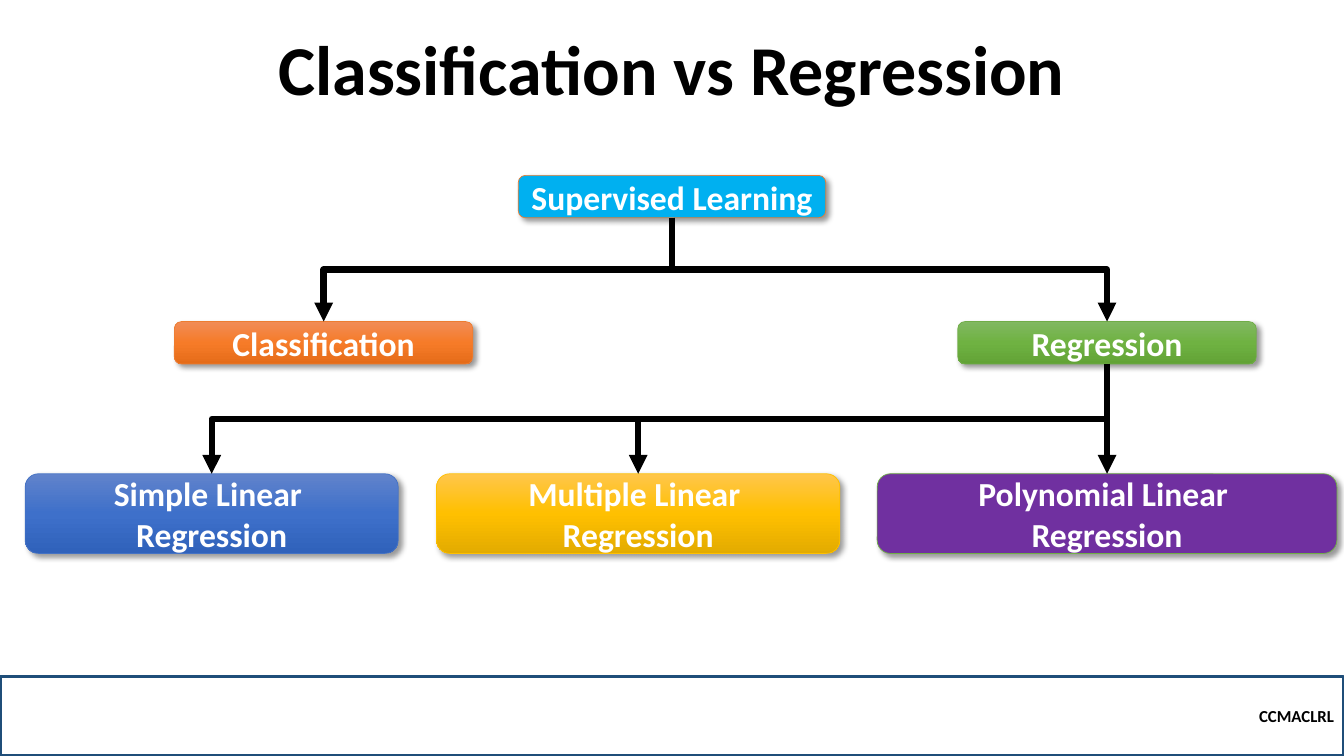
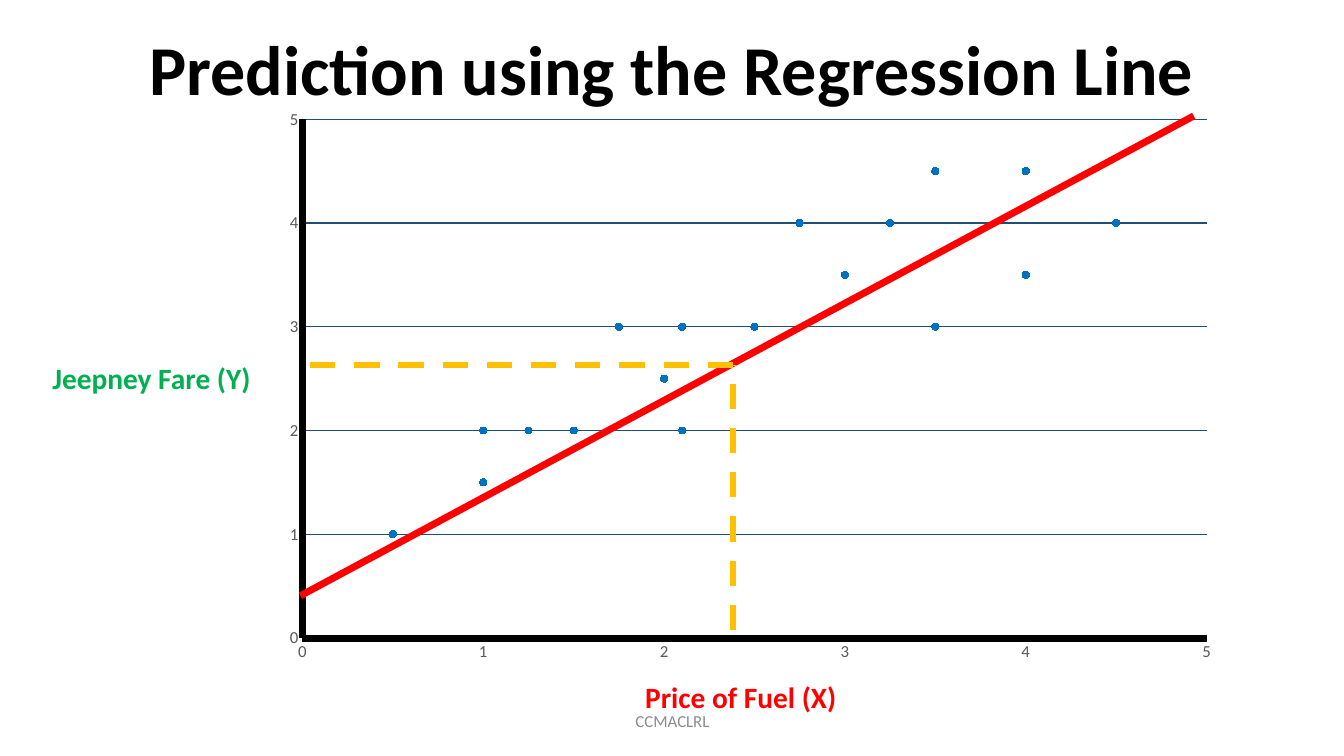
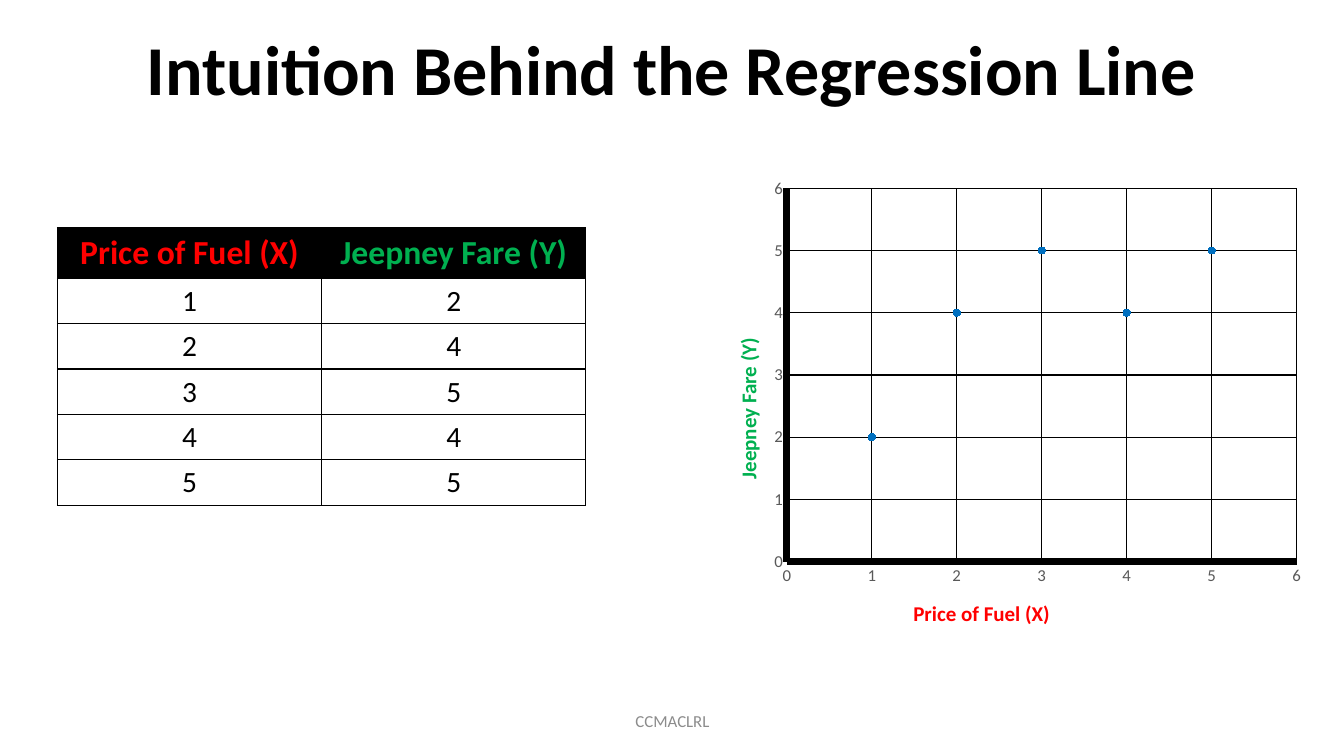
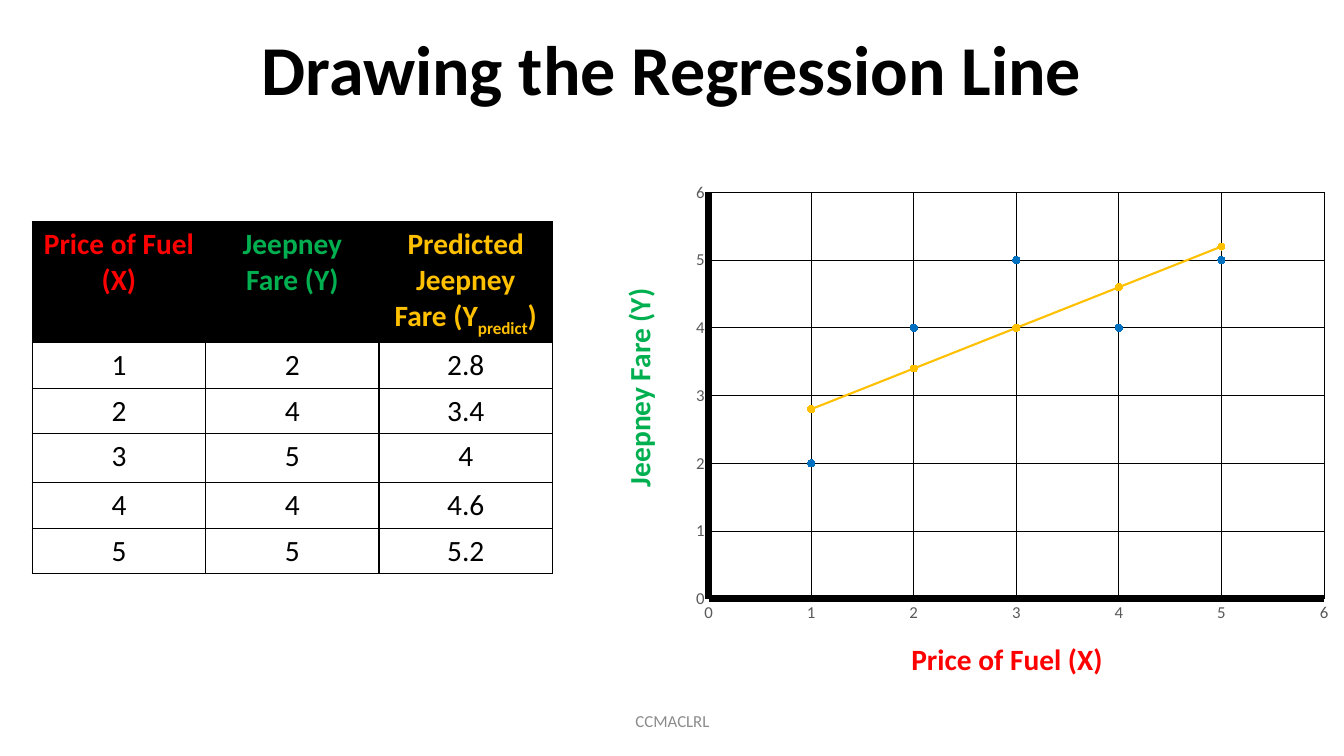
from copy import deepcopy

from lxml import etree
from pptx import Presentation
from pptx import util as u
from pptx.chart.data import XyChartData
from pptx.dml.color import RGBColor
from pptx.enum import chart as charts, dml, shapes, text
from pptx.oxml import parse_xml
from pptx.oxml.ns import nsdecls, qn

Inches, Pt = u.Inches, u.Pt
rgb = RGBColor.from_string

FONT = "Calibri"
BLACK, WHITE, RED, GREEN = "000000", "FFFFFF", "FF0000", "00B050"
AMBER, BLUE, NAVY, ORANGE, LEAF = "FFC000", "0070C0", "1F4E79", "ED7D31", "70AD47"
AXIS_GREY, FOOTER_GREY = "595959", "8C8C8C"
COURSE = "CCMACLRL"
FUEL, FARE = "Price of Fuel (X)", "Jeepney Fare (Y)"


def write(frame, lines, size, color, bold=True, align=text.PP_ALIGN.CENTER):
    """Fill a text frame; a line is a string or a list of (text, baseline) runs."""
    for index, line in enumerate(lines):
        paragraph = frame.paragraphs[0] if index == 0 else frame.add_paragraph()
        paragraph.alignment = align
        for words, baseline in [(line, 0)] if isinstance(line, str) else line:
            run = paragraph.add_run()
            run.text = words
            run.font.name, run.font.size, run.font.bold = FONT, Pt(size), bold
            run.font.color.rgb = rgb(color)
            if baseline:
                run.font._element.set("baseline", str(baseline * 1000))


def draw_line(connector, color, width, dash=None, arrow=False):
    connector.line.color.rgb = rgb(color)
    connector.line.width = Pt(width)
    if dash:
        connector.line.dash_style = dash
    properties = connector._element.spPr
    if arrow:
        etree.SubElement(properties.find(qn("a:ln")), qn("a:tailEnd"), type="triangle")
    etree.SubElement(properties, qn("a:effectLst"))


prs = Presentation()
prs.slide_width, prs.slide_height = Inches(13.33), Inches(7.5)

# Titles and footers
slides = []
for heading in ("Classification vs Regression", "Prediction using the Regression Line",
                "Intuition Behind the Regression Line", "Drawing the Regression Line"):
    slide = prs.slides.add_slide(prs.slide_layouts[5])
    title = slide.shapes.title
    title.left, title.top = Inches(0.5), Inches(0.36)
    title.width, title.height = Inches(12.33), Inches(0.79)
    title.text_frame.auto_size = text.MSO_AUTO_SIZE.NONE
    title.text_frame.vertical_anchor = text.MSO_ANCHOR.BOTTOM
    write(title.text_frame, [heading], 50, BLACK)
    title.text_frame.paragraphs[0].line_spacing = 0.9
    if slides:
        footer = slide.shapes.add_textbox(Inches(4.42), Inches(6.95), Inches(4.5), Inches(0.4))
        footer.text_frame.word_wrap = True
        footer.text_frame.vertical_anchor = text.MSO_ANCHOR.MIDDLE
        write(footer.text_frame, [COURSE], 12, FOOTER_GREY, bold=False)
    slides.append(slide)
overview, prediction, intuition, drawing = slides

# Slide 1: tree of learning methods
band = overview.shapes.add_shape(shapes.MSO_SHAPE.RECTANGLE, 0, Inches(6.71),
                                 Inches(13.33), Inches(0.79))
band.shadow.inherit = False
band.fill.background()
band.line.color.rgb = rgb(NAVY)
band.line.width = Pt(2.25)
band.text_frame.vertical_anchor = text.MSO_ANCHOR.MIDDLE
write(band.text_frame, [COURSE], 12, BLACK, align=text.PP_ALIGN.RIGHT)

SHADOW = (f'<a:effectLst {nsdecls("a")}><a:outerShdw blurRad="50800" dist="38100" '
          'dir="2700000" algn="tl" rotWithShape="0"><a:srgbClr val="000000">'
          '<a:alpha val="40000"/></a:srgbClr></a:outerShdw></a:effectLst>')
methods = {}
for key, lines, left, top, width, height, fills, outline in (
    ("supervised", ["Supervised Learning"], 5.14, 1.74, 3.05, 0.42, ["00B0F0"], ORANGE),
    ("classification", ["Classification"], 1.73, 3.19, 2.96, 0.42,
     ["F18C57", "F67B28", "E56C19"], ORANGE),
    ("regression", ["Regression"], 9.5, 3.19, 2.96, 0.42,
     ["81B861", "6FB242", "62A336"], LEAF),
    ("simple", ["Simple Linear ", "Regression"], 0.25, 4.7, 3.7, 0.79,
     ["6183CB", "3E70CA", "3062BB"], "4472C4"),
    ("multiple", ["Multiple Linear ", "Regression"], 4.33, 4.7, 4, 0.79,
     ["FFC64B", AMBER, "E3AB00"], AMBER),
    ("polynomial", ["Polynomial Linear ", "Regression"], 8.7, 4.7, 4.56, 0.79,
     ["7030A0"], LEAF),
):
    method = overview.shapes.add_shape(shapes.MSO_SHAPE.ROUNDED_RECTANGLE, Inches(left),
                                       Inches(top), Inches(width), Inches(height))
    if len(fills) == 1:
        method.fill.solid()
        method.fill.fore_color.rgb = rgb(fills[0])
    else:
        method.fill.gradient()
        method.fill.gradient_angle = 270
        stop_list = method._element.spPr.find(".//" + qn("a:gsLst"))
        stop_list.insert(1, deepcopy(stop_list[0]))
        for stop, color, position in zip(method.fill.gradient_stops, fills, (0, 0.5, 1)):
            stop.color.rgb = rgb(color)
            stop.position = position
    method.line.color.rgb = rgb(outline)
    method.line.width = Pt(0.5)
    method._element.spPr.append(parse_xml(SHADOW))
    method.text_frame.vertical_anchor = text.MSO_ANCHOR.MIDDLE
    write(method.text_frame, lines, 24, WHITE)
    methods[key] = method

for parent, child in (("regression", "simple"), ("regression", "multiple"),
                      ("supervised", "classification"), ("supervised", "regression"),
                      ("regression", "polynomial")):
    start, end = methods[parent], methods[child]
    start_x, end_x = start.left + start.width // 2, end.left + end.width // 2
    start_y, end_y = start.top + start.height, end.top
    run, drop = end_x - start_x, end_y - start_y
    bent = abs(run) > Inches(0.02)
    kind = shapes.MSO_CONNECTOR.ELBOW if bent else shapes.MSO_CONNECTOR.STRAIGHT
    branch = overview.shapes.add_connector(kind, start_x, start_y, end_x, end_y)
    branch.begin_connect(start, 2)
    branch.end_connect(end, 0)
    if bent:
        # A quarter turn makes the elbow leave downwards
        branch.left = (start_x + end_x - drop) // 2
        branch.top = (start_y + end_y - abs(run)) // 2
        branch.width, branch.height = drop, abs(run)
        frame = branch._element.spPr.get_or_add_xfrm()
        frame.flipH = run > 0
        frame.rot = 270 if run > 0 else 90
    draw_line(branch, BLACK, 4.5, arrow=True)

# Slides 2 to 4: scatter charts
observed = [(1, 2), (2, 4), (3, 5), (4, 4), (5, 5)]
predicted = [(1, 2.8), (2, 3.4), (3, 4), (4, 4.6), (5, 5.2)]
fares = [(0.5, 1), (1, 1.5), (1, 2), (1.25, 2), (1.5, 2), (1.75, 3), (2, 2.5), (2.5, 3),
         (2.75, 4), (3, 3.5), (3.25, 4), (3.5, 4.5), (2.1, 3), (2.1, 2), (4, 3.5),
         (3.5, 3), (4.5, 4), (4, 4.5)]
LAYOUT = (f'<c:layout {nsdecls("c")}><c:manualLayout><c:layoutTarget val="inner"/>'
          '<c:xMode val="edge"/><c:yMode val="edge"/><c:x val="0.04"/><c:y val="0.018"/>'
          '<c:w val="0.945"/><c:h val="0.9"/></c:manualLayout></c:layout>')
for slide, box, point_sets, limit, grid, x_grid in (
    (prediction, (2.62, 1.08, 9.49, 5.72), [fares], 5, NAVY, False),
    (intuition, (7.59, 1.77, 5.35, 4.14), [observed], 6, BLACK, True),
    (drawing, (6.77, 1.81, 6.46, 4.5), [observed, predicted], 6, BLACK, True),
):
    data = XyChartData()
    for number, points in enumerate(point_sets, 1):
        data_series = data.add_series(f"Series {number}")
        for x, y in points:
            data_series.add_data_point(x, y)
    chart = slide.shapes.add_chart(charts.XL_CHART_TYPE.XY_SCATTER,
                                   *map(Inches, box), data).chart
    chart.has_legend = chart.has_title = False
    chart.font.name, chart.font.size = FONT, Pt(10)
    chart.font.color.rgb = rgb(BLACK)
    plot_area = chart._chartSpace.chart.plotArea
    for layout in plot_area.findall(qn("c:layout")):
        plot_area.remove(layout)
    plot_area.insert(0, parse_xml(LAYOUT))

    for axis, has_grid in ((chart.category_axis, x_grid), (chart.value_axis, True)):
        axis.minimum_scale, axis.maximum_scale, axis.major_unit = 0, limit, 1
        axis.major_tick_mark = axis.minor_tick_mark = charts.XL_TICK_MARK.NONE
        axis.tick_labels.font.name, axis.tick_labels.font.size = FONT, Pt(12)
        axis.tick_labels.font.color.rgb = rgb(AXIS_GREY)
        axis.format.line.color.rgb = rgb(BLACK)
        axis.format.line.width = Pt(5)
        axis.has_major_gridlines = has_grid
        if has_grid:
            axis.major_gridlines.format.line.color.rgb = rgb(grid)
            axis.major_gridlines.format.line.width = Pt(0.75)

    chart.plots[0].vary_by_categories = False
    for series, color in zip(chart.plots[0].series, (BLUE, AMBER)):
        series.smooth = False
        if color == AMBER:
            series.format.line.color.rgb = rgb(color)
            series.format.line.width = Pt(1.5)
        else:
            series.format.line.fill.background()
        series.marker.style, series.marker.size = charts.XL_MARKER_STYLE.CIRCLE, 5
        series.marker.format.fill.solid()
        series.marker.format.fill.fore_color.rgb = rgb(color)
        series.marker.format.line.color.rgb = rgb(color)

# Axis titles
for slide, words, left, top, width, height, size, color, turn in (
    (prediction, FUEL, 6.3, 6.69, 2.12, 0.45, 21, RED, 0),
    (prediction, FARE, 0.42, 3.52, 2.19, 0.45, 21, GREEN, 0),
    (intuition, FUEL, 8.96, 5.91, 1.57, 0.35, 15, RED, 0),
    (intuition, FARE, 6.61, 3.87, 1.62, 0.35, 15, GREEN, 270),
    (drawing, FUEL, 8.94, 6.31, 2.12, 0.45, 21, RED, 0),
    (drawing, FARE, 5.24, 3.61, 2.19, 0.45, 21, GREEN, 270),
):
    label = slide.shapes.add_textbox(Inches(left), Inches(top), Inches(width), Inches(height))
    label.rotation = turn
    label.text_frame.word_wrap = False
    label.text_frame.auto_size = text.MSO_AUTO_SIZE.SHAPE_TO_FIT_TEXT
    write(label.text_frame, [words], size, color, align=text.PP_ALIGN.LEFT)

# Slide 2: regression line and the predicted point
for x1, y1, x2, y2, color, width, dash in (
    (2.98, 5.91, 11.84, 1.15, RED, 5, None),
    (7.27, 6.25, 7.27, 3.62, AMBER, 4.5, dml.MSO_LINE.DASH),
    (7.27, 3.62, 3.04, 3.62, AMBER, 4.5, dml.MSO_LINE.DASH),
):
    guide = prediction.shapes.add_connector(shapes.MSO_CONNECTOR.STRAIGHT, Inches(x1),
                                            Inches(y1), Inches(x2), Inches(y2))
    draw_line(guide, color, width, dash)

# Slides 3 and 4: data tables
predicted_head = [("Predicted Jeepney Fare (Y", 0), ("predict", -25), (")", 0)]
triples = [(x, y, fit) for (x, y), (_, fit) in zip(observed, predicted)]
for slide, left, top, column_width, row_heights, head_size, heads, records in (
    (intuition, 0.57, 2.26, 2.62, [0.5] + [0.45] * 5, 24, [FUEL, FARE], observed),
    (drawing, 0.32, 2.2, 1.72, [1.2, 0.45, 0.45, 0.49, 0.45, 0.45], 21,
     [FUEL, FARE, predicted_head], triples),
):
    table = slide.shapes.add_table(len(row_heights), len(heads), Inches(left), Inches(top),
                                   Inches(column_width * len(heads)),
                                   Inches(sum(row_heights))).table
    table.horz_banding = False
    for column in table.columns:
        column.width = Inches(column_width)
    for row, height in zip(table.rows, row_heights):
        row.height = Inches(height)
    for r, record in enumerate([heads, *records]):
        for c, value in enumerate(record):
            cell = table.cell(r, c)
            for side in ("lnL", "lnR", "lnT", "lnB"):
                cell._tc.get_or_add_tcPr().append(parse_xml(
                    f'<a:{side} {nsdecls("a")} w="12700"><a:solidFill>'
                    f'<a:srgbClr val="{BLACK}"/></a:solidFill></a:{side}>'))
            if r == 0:
                cell.fill.solid()
                cell.fill.fore_color.rgb = rgb(BLACK)
                write(cell.text_frame, [value], head_size, (RED, GREEN, AMBER)[c])
            else:
                cell.fill.background()
                write(cell.text_frame, [str(value)], 21, BLACK, bold=False)

prs.save("out.pptx")
